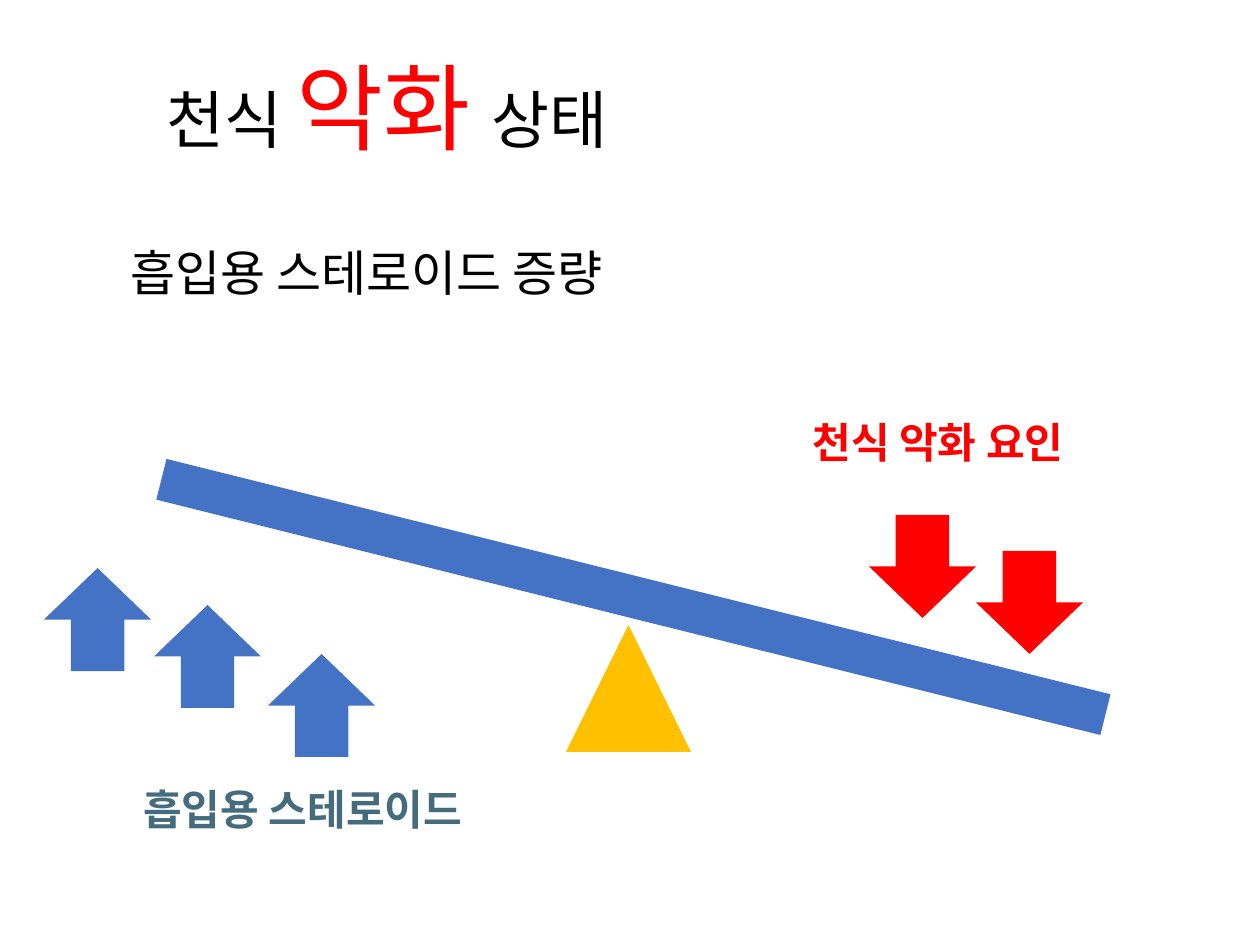
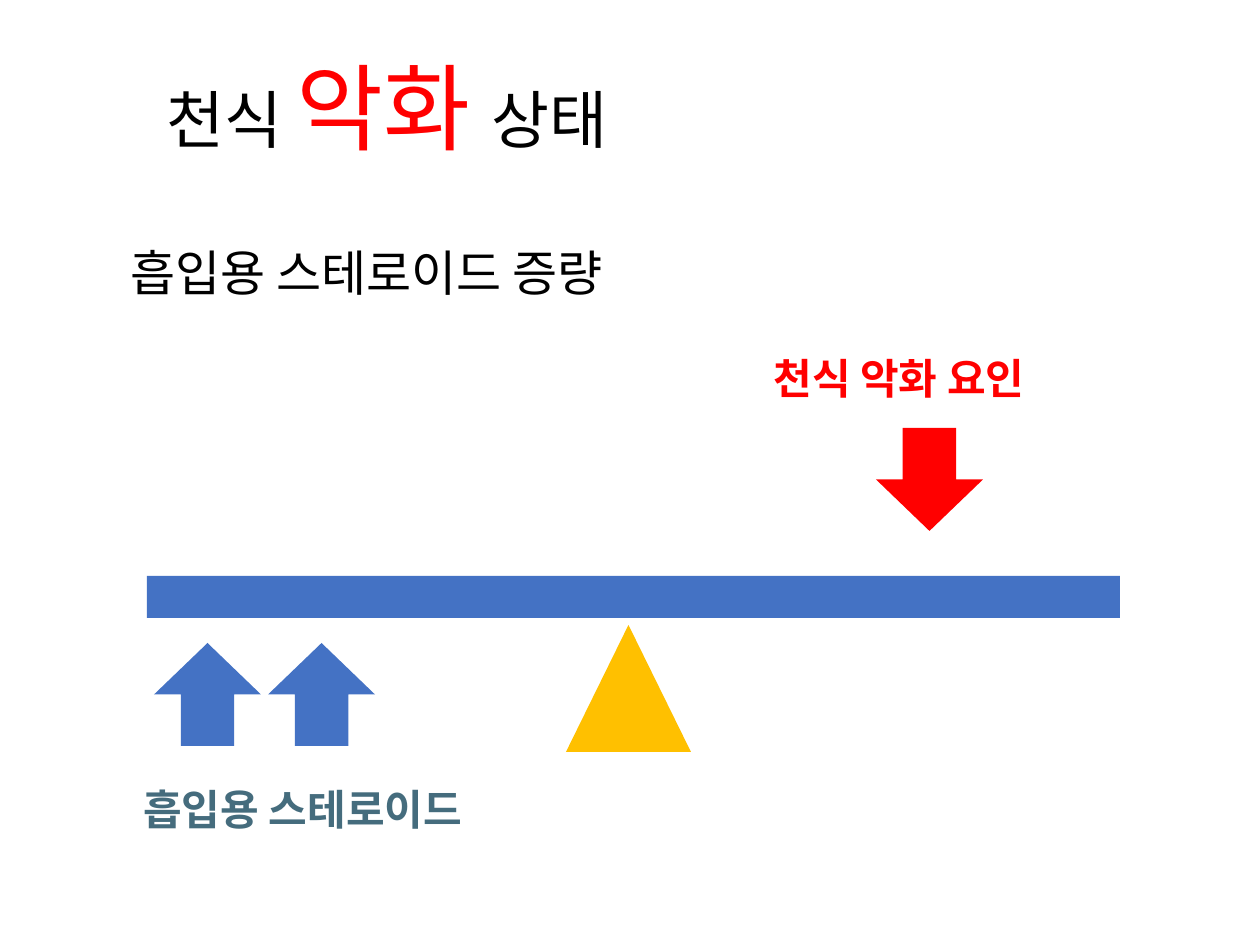
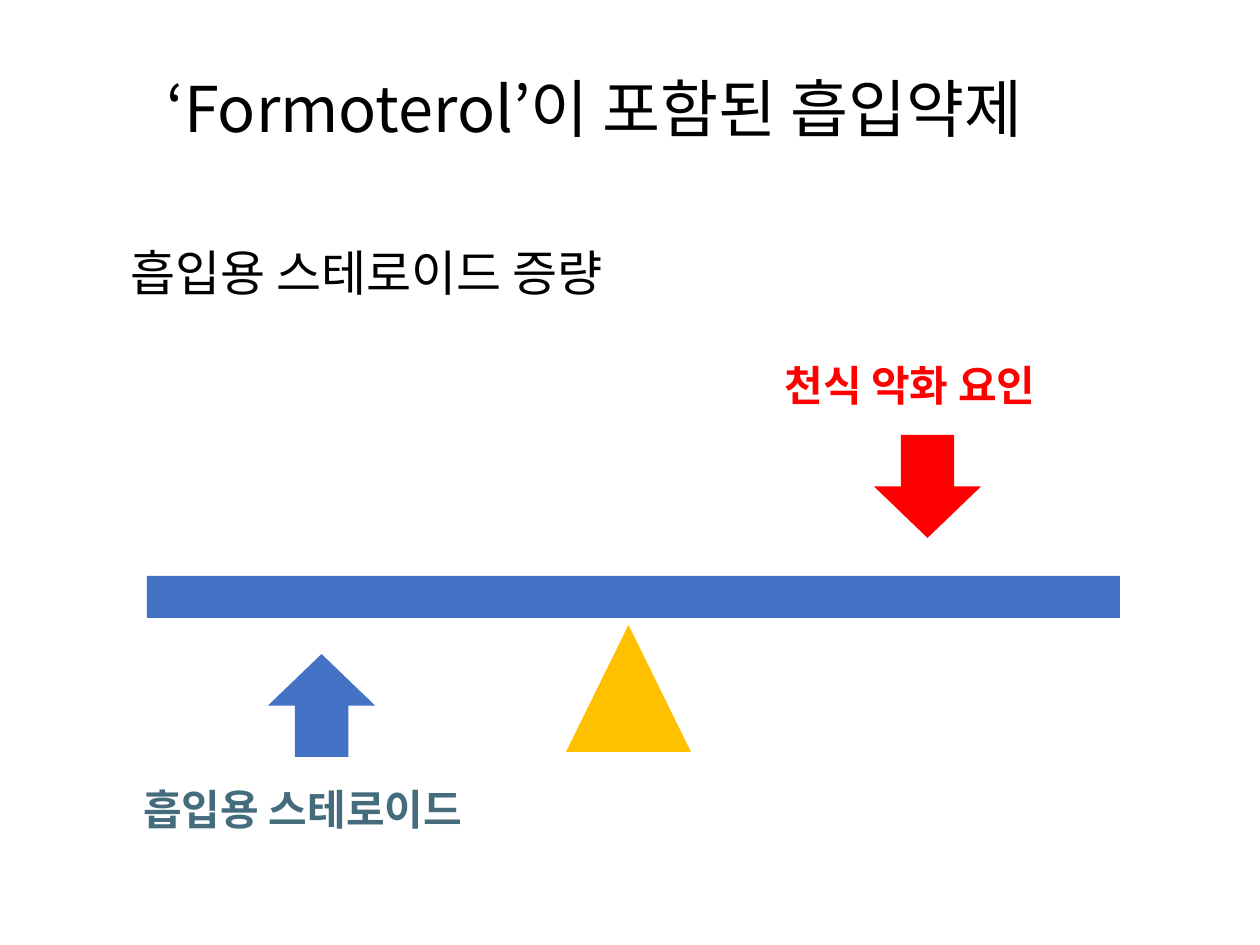
from lxml import etree
from pptx import Presentation, util as u
from pptx.dml.color import RGBColor
from pptx.enum import shapes, text
from pptx.oxml.ns import qn

PX_PER_INCH = 126
KOREAN, LATIN = "Noto Sans CJK KR", "Calibri"
BLACK, RED, BLUE, AMBER, TEAL = "000000", "FF0000", "4472C4", "FFC000", "456C7D"
ARROW_SIZE = (107, 103)

WORSENING = [("천식 ", 36, BLACK), ("악화 ", 54, RED), ("상태", 36, BLACK)]
FORMOTEROL = [("‘Formoterol’이 포함된 흡입약제", 36, BLACK)]

# Title, beam tilt, trigger label position, steroid arrows, trigger arrows
STATES = [
    (WORSENING, 14, (800, 410), [(268, 654), (154, 605), (44, 568)], [(869, 515), (976, 551)]),
    (WORSENING, 0, (761, 346), [(268, 643), (154, 643)], [(876, 428)]),
    (FORMOTEROL, 0, (772, 353), [(268, 654)], [(874, 435)]),
]


def px(*lengths):
    return [u.Emu(round(length * u.Inches(1) / PX_PER_INCH)) for length in lengths]


def color(hex_code):
    return RGBColor.from_string(hex_code)


def add_run(paragraph, words, size, hex_code, font=KOREAN, bold=False):
    run = paragraph.add_run()
    run.text = words
    run.font.size = u.Pt(size)
    run.font.bold = bold
    run.font.color.rgb = color(hex_code)
    run.font.name = font
    # Hangul takes its typeface from the East Asian font
    latin = run.font._element.find(qn("a:latin"))
    east_asian = etree.Element(qn("a:ea"), typeface=KOREAN)
    latin.addnext(east_asian)


def set_title(slide, runs):
    title = slide.shapes.title
    title.left, title.top, title.width, title.height = px(154, 21, 1086, 183)
    frame = title.text_frame
    frame.word_wrap = True
    frame.auto_size = text.MSO_AUTO_SIZE.NONE
    frame.vertical_anchor = text.MSO_ANCHOR.MIDDLE
    paragraph = frame.paragraphs[0]
    paragraph.alignment = text.PP_ALIGN.LEFT
    paragraph.line_spacing = 0.9
    for words, size, hex_code in runs:
        add_run(paragraph, words, size, hex_code)


def add_label(slide, box, words, size, hex_code, font=KOREAN, bold=True):
    frame = slide.shapes.add_textbox(*px(*box)).text_frame
    frame.word_wrap = False
    frame.auto_size = text.MSO_AUTO_SIZE.SHAPE_TO_FIT_TEXT
    add_run(frame.paragraphs[0], words, size, hex_code, font, bold)


def add_solid(slide, kind, box, hex_code, rotation=0):
    solid = slide.shapes.add_shape(kind, *px(*box))
    solid.shadow.inherit = False
    solid.fill.solid()
    solid.fill.fore_color.rgb = color(hex_code)
    solid.line.fill.background()
    solid.rotation = rotation


def add_arrows(slide, corners, hex_code, rotation=0):
    for corner in corners:
        add_solid(slide, shapes.MSO_SHAPE.DOWN_ARROW, corner + ARROW_SIZE, hex_code, rotation)


def add_seesaw(slide, tilt):
    add_solid(slide, shapes.MSO_SHAPE.RECTANGLE, (147, 576, 973, 42), BLUE, tilt)
    add_solid(slide, shapes.MSO_SHAPE.ISOSCELES_TRIANGLE, (566, 625, 125, 127), AMBER)


def main():
    deck = Presentation()
    deck.slide_width, deck.slide_height = px(1260, 945)
    title_only = deck.slide_layouts[5]

    for title, tilt, trigger_corner, steroid_arrows, trigger_arrows in STATES:
        slide = deck.slides.add_slide(title_only)
        # Headings
        set_title(slide, title)
        add_label(slide, (118, 236, 543, 72), "흡입용 스테로이드 증량", 28, BLACK, LATIN, False)
        # Balance between steroid and triggers
        add_seesaw(slide, tilt)
        add_label(slide, trigger_corner + (310, 63), "천식 악화 요인", 24, RED)
        add_label(slide, (131, 777, 379, 63), "흡입용 스테로이드", 24, TEAL)
        add_arrows(slide, steroid_arrows, BLUE, 180)
        add_arrows(slide, trigger_arrows, RED)

    deck.save("out.pptx")


if __name__ == "__main__":
    main()
